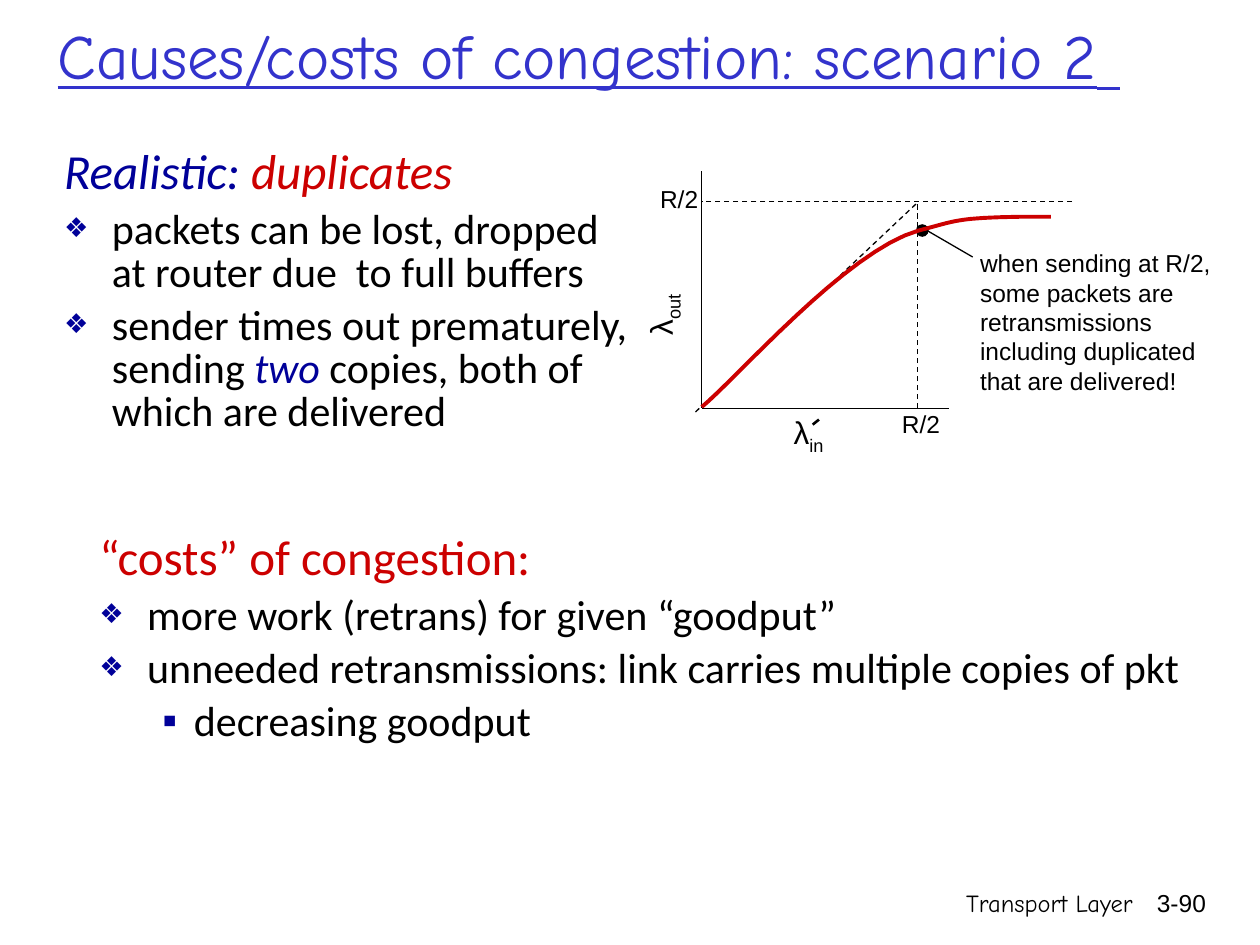
from lxml.etree import SubElement
from pptx import Presentation
from pptx.dml.color import RGBColor as Rgb
from pptx.enum.dml import MSO_LINE_DASH_STYLE as Dash
from pptx.enum.shapes import MSO_CONNECTOR as Connector, MSO_SHAPE as Shape
from pptx.enum.text import MSO_ANCHOR as Anchor, PP_ALIGN as Align
from pptx.oxml.ns import qn
from pptx.util import Emu, Inches, Pt

COLORS = {"black": "000000", "red": "CC0000", "navy": "000099", "title": "3333CC"}
COLUMNS, ROWS = 100, 75
BODY, LABEL, HAND = "Calibri", "Arial", "Comic Neue"

# Graph landmarks, in grid columns and rows
AXIS_X, AXIS_Y = 55.7, 32.4
HALF_X, HALF_Y = 72.8, 16
CURVE_START = (55.7, 32.3)
CURVE = [
    ((58.5, 30), (67.2, 19.9), (72.9, 18.3)),
    ((76, 17.5), (75.8, 17.3), (81.1, 17.2)),
    ((83.4, 17.2), (82.9, 17.2), (83.4, 17.2)),
]


def bezier_points(start, segments, steps=16):
    points = [start]
    for first, second, end in segments:
        corners = (points[-1], first, second, end)
        for step in range(1, steps + 1):
            t = step / steps
            weights = ((1 - t) ** 3, 3 * t * (1 - t) ** 2, 3 * t * t * (1 - t), t ** 3)
            points.append(tuple(sum(w * corner[axis] for w, corner in zip(weights, corners))
                                for axis in (0, 1)))
    return points


class SlideBuilder:
    """Holds the style and the current slide; lengths are grid columns and rows."""

    def __init__(self, deck):
        self.page = deck.slides.add_slide(deck.slide_layouts[6])
        self.column = deck.slide_width / COLUMNS
        self.row = deck.slide_height / ROWS

    def place(self, x, y):
        return Emu(round(x * self.column)), Emu(round(y * self.row))

    def color(self, name):
        return Rgb.from_string(COLORS[name])

    def spans(self, para, parts, font, size, color):
        """Each part is a string or a (string, changes) pair."""
        for part in parts:
            text, changes = (part, {}) if isinstance(part, str) else part
            span = para.add_run()
            span.text = text
            span.font.name = font
            span.font.size = Pt(changes.get("size", size))
            span.font.color.rgb = self.color(changes.get("color", color))
            if changes.get("italic"):
                span.font.italic = True
            if changes.get("underline"):
                span.font.underline = True
            if changes.get("subscript"):
                span._r.get_or_add_rPr().set("baseline", "-25000")

    def text(self, at, parts, font=LABEL, size=14, color="black", align=Align.LEFT,
             wrap=True, anchor=Anchor.TOP, rotation=0):
        box = self.page.shapes.add_textbox(*self.place(*at[:2]), *self.place(*at[2:]))
        box.rotation = rotation
        frame = box.text_frame
        frame.word_wrap = wrap
        frame.vertical_anchor = anchor
        para = frame.paragraphs[0]
        para.alignment = align
        self.spans(para, parts, font, size, color)
        return frame

    def bullet(self, para, mark, percent, margin, hang):
        props = para._p.get_or_add_pPr()
        props.set("marL", str(Inches(margin)))
        props.set("indent", str(-Inches(hang)))
        tint = SubElement(props, qn("a:buClr"))
        SubElement(tint, qn("a:srgbClr"), val=COLORS["navy"])
        SubElement(props, qn("a:buSzPct"), val=str(percent * 1000))
        SubElement(props, qn("a:buFont"), typeface=LABEL)
        SubElement(props, qn("a:buChar"), char=mark)

    def outline(self, at, heading, color, items):
        """A heading over bullets; each item is (level, parts)."""
        frame = self.text(at, heading, BODY, 28, color)
        frame.paragraphs[0].line_spacing = 0.85
        for level, parts in items:
            para = frame.add_paragraph()
            para.level = level
            if level:
                self.bullet(para, "▪", 100, 0.75, 0.25)
            else:
                self.bullet(para, "❖", 65, 0.38, 0.38)
            para.line_spacing = 0.85
            para.space_before = Pt(6)
            self.spans(para, parts, BODY, 24, "black")

    def line(self, start, end, width=0.75, dashed=False, arrow=False):
        link = self.page.shapes.add_connector(
            Connector.STRAIGHT, *self.place(*start), *self.place(*end))
        link.line.color.rgb = self.color("black")
        link.line.width = Pt(width)
        if dashed:
            link.line.dash_style = Dash.DASH
        if arrow:
            SubElement(link.line._get_or_add_ln(), qn("a:tailEnd"), type="triangle")
        SubElement(link._element.spPr, qn("a:effectLst"))

    def dot(self, x, y, size):
        mark = self.page.shapes.add_shape(
            Shape.OVAL, *self.place(x, y), *self.place(size, size))
        mark.shadow.inherit = False
        mark.fill.solid()
        mark.fill.fore_color.rgb = self.color("black")
        mark.line.fill.background()

    def curve(self, points, color, width):
        first, *rest = [self.place(*point) for point in points]
        path = self.page.shapes.build_freeform(*first)
        path.add_line_segments(rest, close=False)
        shape = path.convert_to_shape()
        shape.shadow.inherit = False
        shape.fill.background()
        shape.line.color.rgb = self.color(color)
        shape.line.width = Pt(width)


def draw_graph(slide):
    slide.line((AXIS_X, 13.6), (AXIS_X, AXIS_Y))
    slide.text((51.4, 14.1, 5, 3.4), ["R/2"], wrap=False)
    slide.line((85.1, HALF_Y), (AXIS_X, HALF_Y), dashed=True)
    slide.text((49.2, 22, 6.8, 4.4), ["λ", ("out", {"subscript": True})],
               size=18, rotation=270)
    slide.line((55.2, 32.7), (72.9, HALF_Y), dashed=True)
    slide.line((HALF_X, AXIS_Y), (HALF_X, 16.2), dashed=True)
    slide.dot(72.7, 17.8, 1)
    slide.text((76.8, 19.2, 20.6, 12.7), [
        "when sending at R/2, some packets are retransmissions "
        "including duplicated that are delivered!"])
    slide.line((77.2, 20.4), (72.9, 17.9), arrow=True)
    slide.curve(bezier_points(CURVE_START, CURVE), "red", 2.25)
    slide.line((75.3, AXIS_Y), (AXIS_X, AXIS_Y))
    slide.text((70.6, 32, 5, 3.4), ["R/2"], wrap=False)
    slide.text((62, 32.3, 4.5, 4.4), ["λ", ("in", {"subscript": True})],
               size=18, wrap=False)
    slide.line((64.5, 33.7), (65, 33.3), width=1.5)


def main():
    deck = Presentation()
    deck.slide_width, deck.slide_height = Inches(10), Inches(7.5)
    slide = SlideBuilder(deck)
    slide.text((59.2, 70, 31.7, 5), ["Transport Layer"], HAND, align=Align.RIGHT)
    slide.text((89.3, 70, 7.4, 5), ["3-90"], align=Align.RIGHT)
    draw_graph(slide)
    slide.outline((6.9, 42, 89.1, 10.8), ["“costs” of congestion:"], "red", [
        (0, ["more work (retrans) for given “goodput”"]),
        (0, ["unneeded retransmissions: link carries multiple copies of pkt"]),
        (1, ["decreasing goodput"]),
    ])
    slide.text((3.6, 1.3, 94.5, 5.6), [
        ("Causes/costs of congestion: scenario 2", {"underline": True}),
        (" ", {"underline": True, "size": 40}),
    ], HAND, 36, "title", anchor=Anchor.MIDDLE)
    slide.outline((4.1, 11.4, 47.1, 21), [
        ("Realistic: ", {"italic": True}),
        ("duplicates", {"italic": True, "color": "red"}),
    ], "navy", [
        (0, ["packets can be lost, dropped at router due  to full buffers"]),
        (0, ["sender times out prematurely, sending ",
             ("two ", {"italic": True, "color": "navy"}),
             "copies, both of which are delivered"]),
    ])
    deck.save("out.pptx")


if __name__ == "__main__":
    main()
